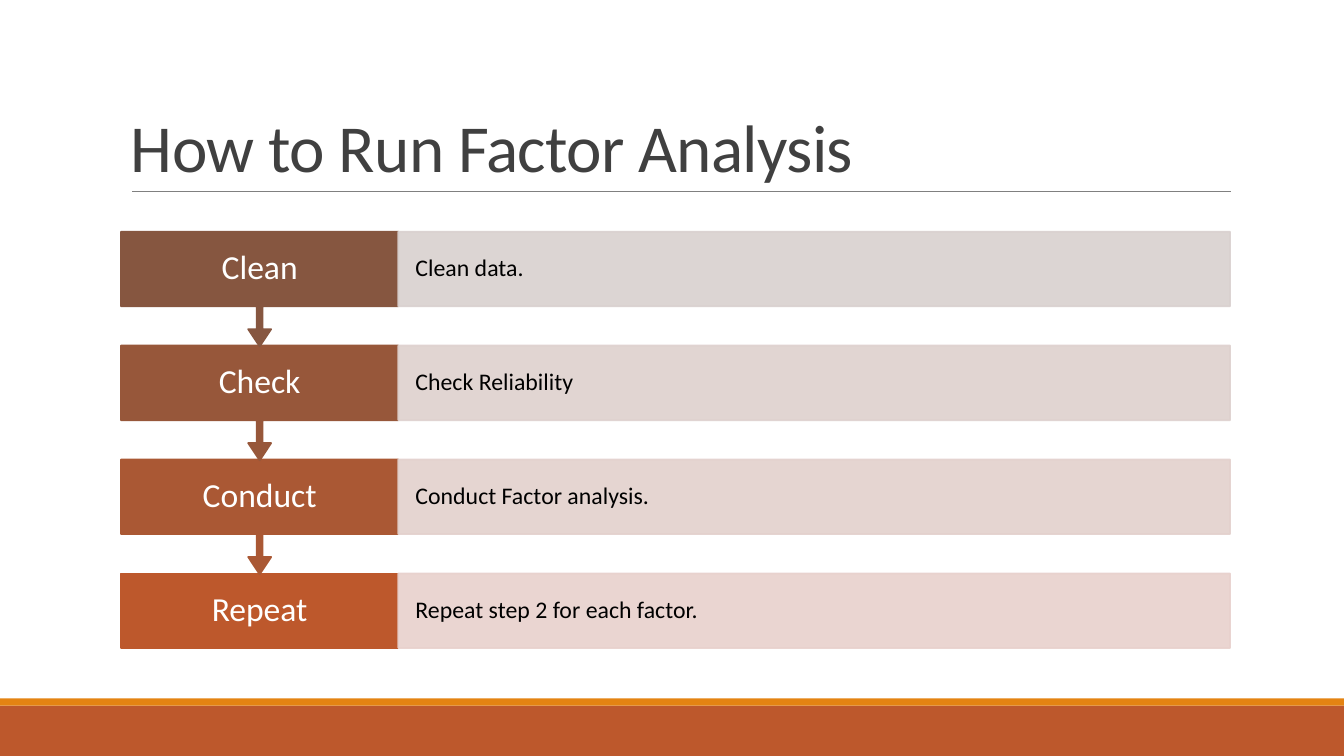
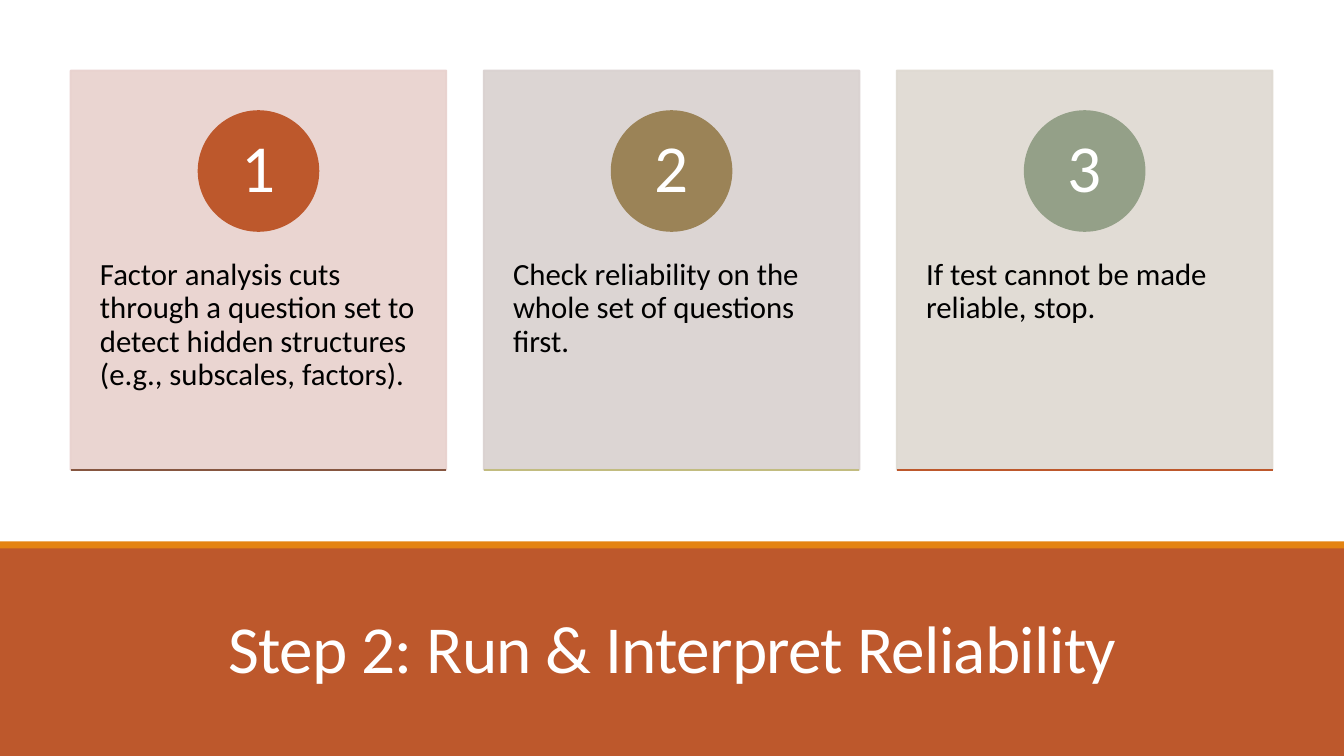
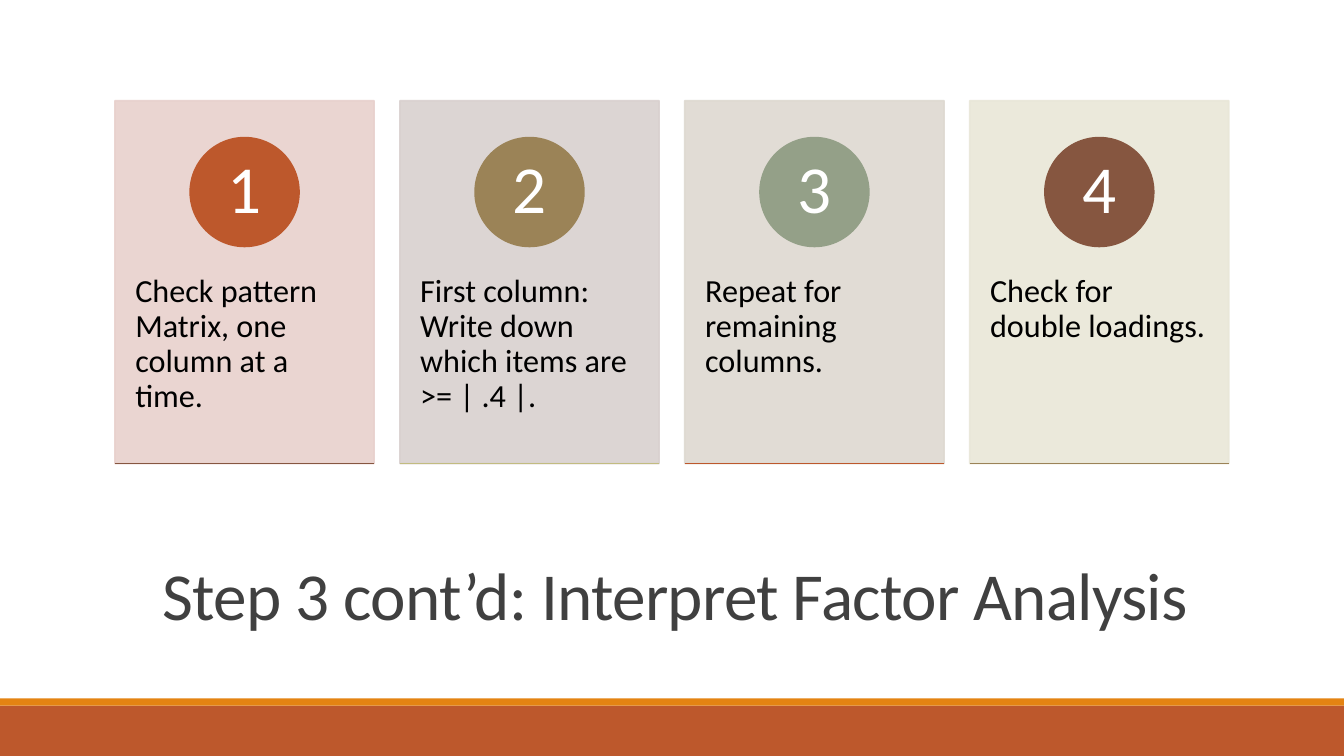
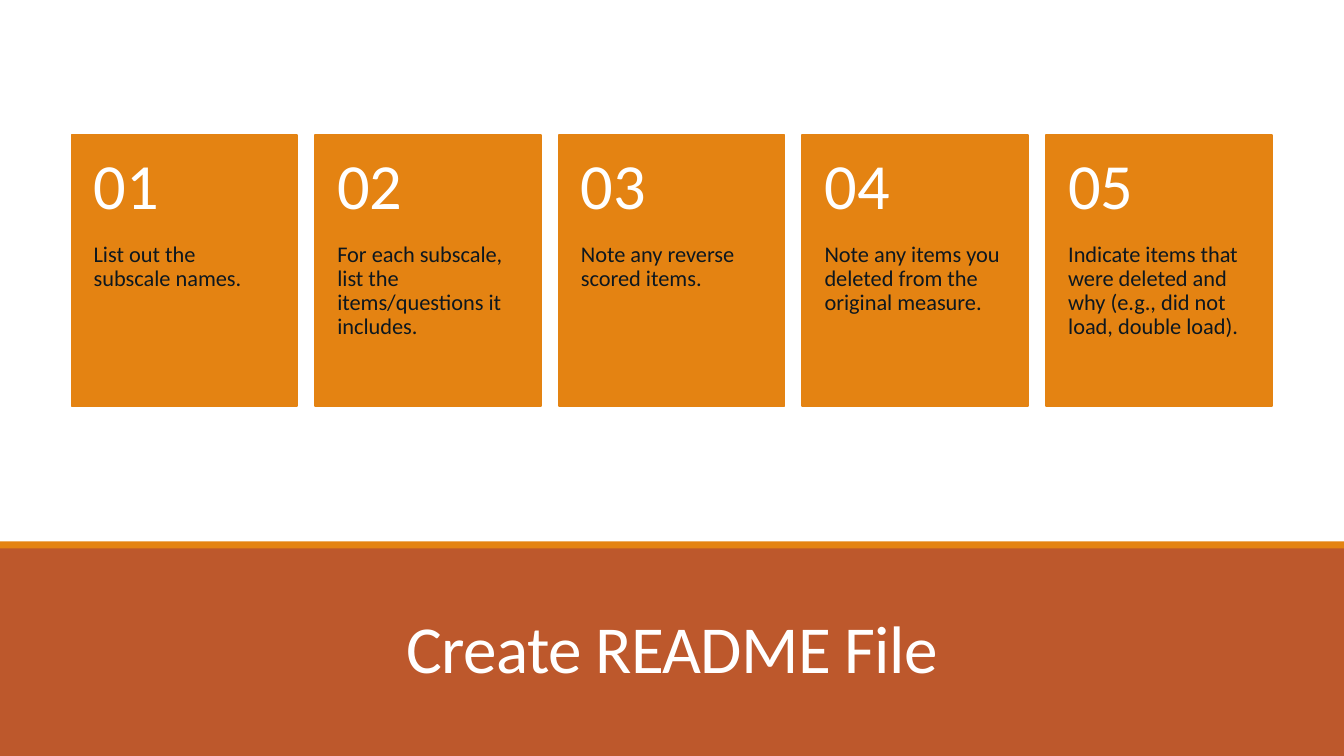
from dataclasses import dataclass

from lxml.etree import SubElement
from pptx import Presentation
from pptx.dml.color import RGBColor
from pptx.enum.shapes import MSO_CONNECTOR, MSO_SHAPE
from pptx.enum.text import MSO_ANCHOR, MSO_AUTO_SIZE, PP_ALIGN
from pptx.oxml.ns import qn
from pptx.util import Cm, Pt

FONT = "Calibri"
WIDTH, HEIGHT = 33.87, 19.05
COLORS = {
    "rust": "BD582C", "amber": "E48312", "brown": "865640",
    "sienna": "97573A", "copper": "AA5834", "khaki": "9B8357",
    "olive": "C2BC80", "sage": "94A088", "pink": "E8D1CD",
    "rose": "E3D1CD", "blush": "DED1CE", "mauve": "D9D1CF",
    "stone": "DED9D1", "cream": "E9E7D8", "white": "FFFFFF",
    "black": "000000", "ink": "0D171F", "title": "404040", "rule": "808080",
}


@dataclass
class Step:
    label: str
    detail: str
    fill: str
    tint: str


@dataclass
class Card:
    text: str
    tint: str
    badge: str
    edge: str


@dataclass
class CardGrid:
    """Sizes of a row of cards, in centimetres; text size in points."""
    left: float
    top: float
    width: float
    height: float
    pitch: float
    inset: float
    text_top: float
    size: int
    badge: float = 0
    badge_top: float = 0


STEPS = [
    Step("Clean", "Clean data.", "brown", "mauve"),
    Step("Check", "Check Reliability", "sienna", "blush"),
    Step("Conduct", "Conduct Factor analysis.", "copper", "rose"),
    Step("Repeat", "Repeat step 2 for each factor.", "rust", "pink"),
]
# Tint, badge and edge by position in the row
CARD_STYLES = [
    ("pink", "rust", "brown"), ("mauve", "khaki", "olive"),
    ("stone", "sage", "rust"), ("cream", "brown", "khaki"),
]
RELIABILITY = [
    "Factor analysis cuts through a question set to detect hidden structures "
    "(e.g., subscales, factors).",
    "Check reliability on the whole set of questions first.",
    "If test cannot be made reliable, stop.",
]
INTERPRETATION = [
    "Check pattern Matrix, one column at a time.",
    "First column: Write down which items are >= | .4 |.",
    "Repeat for remaining columns.",
    "Check for double loadings.",
]
README_ITEMS = [
    "List out the subscale names.",
    "For each subscale, list the items/questions it includes.",
    "Note any reverse scored items.",
    "Note any items you deleted from the original measure.",
    "Indicate items that were deleted and why (e.g., did not load, double load).",
]
THREE_CARDS = CardGrid(1.78, 1.78, 9.47, 10.06, 10.41, 0.74, 4.75, 22, 3.02, 1.02)
FOUR_CARDS = CardGrid(2.9, 2.54, 6.53, 9.14, 7.18, 0.51, 4.39, 23, 2.74, 0.93)
FIVE_CARDS = CardGrid(1.8, 3.4, 5.69, 6.83, 6.14, 0.56, 2.72, 16)


def rgb(name: str) -> RGBColor:
    return RGBColor.from_string(COLORS[name])


def write(sp, text: str, *, size: float, color: str = "black",
          align=PP_ALIGN.LEFT, anchor=MSO_ANCHOR.MIDDLE, spacing: float = 0.9,
          side: float = 0.25, top: float = 0, bottom: float = 0,
          tracking: int = 0) -> None:
    """Put one formatted paragraph in a shape; insets are in centimetres."""
    tf = sp.text_frame
    tf.word_wrap, tf.auto_size, tf.vertical_anchor = True, MSO_AUTO_SIZE.NONE, anchor
    tf.margin_left = tf.margin_right = Cm(side)
    tf.margin_top, tf.margin_bottom = Cm(top), Cm(bottom)
    p = tf.paragraphs[0]
    p.alignment, p.line_spacing = align, spacing
    r = p.add_run()
    r.text = text
    r.font.name, r.font.size = FONT, Pt(size)
    r.font.color.rgb = rgb(color)
    if tracking:
        r._r.get_or_add_rPr().set("spc", str(tracking))


def add_block(s, x: float, y: float, w: float, h: float, fill: str, *,
              kind=MSO_SHAPE.RECTANGLE, outlined: bool = True, opacity: int = 100):
    sp = s.shapes.add_shape(kind, Cm(x), Cm(y), Cm(w), Cm(h))
    sp.shadow.inherit = False
    sp.fill.solid()
    sp.fill.fore_color.rgb = rgb(fill)
    if outlined:
        sp.line.color.rgb = rgb(fill)
        sp.line.width = Pt(1.25)
    else:
        sp.line.fill.background()
    if opacity < 100:
        for clr in sp._element.spPr.iter(qn("a:srgbClr")):
            SubElement(clr, qn("a:alpha")).set("val", str(opacity * 1000))
    return sp


def add_rule(s, x: float, y: float, w: float, color: str, weight: float) -> None:
    line = s.shapes.add_connector(MSO_CONNECTOR.STRAIGHT, Cm(x), Cm(y), Cm(x + w), Cm(y))
    line.line.color.rgb = rgb(color)
    line.line.width = Pt(weight)
    SubElement(line._element.spPr, qn("a:effectLst"))


def add_slide(prs, title: str, *, at: tuple[float, float, float, float],
              band_top: float = 17.78, stripe_top: float = 17.6,
              color: str = "title", align=PP_ALIGN.CENTER,
              anchor=MSO_ANCHOR.BOTTOM):
    """Start a slide with its bottom band, stripe and title."""
    s = prs.slides.add_slide(prs.slide_layouts[5])
    add_block(s, 0, band_top, WIDTH, HEIGHT - band_top, "rust", outlined=False)
    add_block(s, 0, stripe_top, WIDTH, 0.18, "amber", outlined=False)
    sp = s.shapes.title
    sp.left, sp.top, sp.width, sp.height = map(Cm, at)
    # Bring the title in front of the band
    s.shapes._spTree.append(sp._element)
    write(sp, title, size=48, color=color, align=align, anchor=anchor,
          spacing=0.85, top=0.13, bottom=0.13, tracking=-50)
    return s


def add_banner_slide(prs, title: str):
    """Start a slide whose title sits in a tall band."""
    return add_slide(prs, title, at=(2.97, 14.58, 27.94, 2.87), band_top=13.77,
                     stripe_top=13.64, color="white")


def add_steps(s, steps: list[Step]) -> None:
    left, top, label_w, detail_w, height, pitch = 3.05, 5.84, 6.99, 20.96, 1.88, 2.87
    # From the bottom up, so that each arrow tip lies over the next box
    for i, step in reversed(list(enumerate(steps))):
        y = top + i * pitch
        if i == len(steps) - 1:
            box = add_block(s, left, y, label_w, height, step.fill)
        else:
            box = add_block(s, left, y, label_w, pitch + 0.02, step.fill,
                            kind=MSO_SHAPE.DOWN_ARROW_CALLOUT)
            for k, value in enumerate((0.05, 0.1, 0.15, 0.65)):
                box.adjustments[k] = value
        write(box, step.label, size=24, color="white", align=PP_ALIGN.CENTER)
        detail = add_block(s, left + label_w, y, detail_w, height, step.tint, opacity=90)
        write(detail, step.detail, size=17, side=0.43)


def add_badge_cards(s, texts: list[str], g: CardGrid) -> None:
    cards = [Card(text, *style) for text, style in zip(texts, CARD_STYLES)]
    for i, card in enumerate(cards):
        x = g.left + i * g.pitch
        box = add_block(s, x, g.top, g.width, g.height, card.tint, opacity=90)
        write(box, card.text, size=g.size, anchor=MSO_ANCHOR.TOP,
              side=g.inset, top=g.text_top)
        badge = add_block(s, x + (g.width - g.badge) / 2, g.top + g.badge_top,
                          g.badge, g.badge, card.badge, kind=MSO_SHAPE.OVAL)
        write(badge, str(i + 1), size=48, color="white", align=PP_ALIGN.CENTER, side=0)
        add_rule(s, x, g.top + g.height, g.width, card.edge, 1.25)


def add_number_cards(s, texts: list[str], g: CardGrid) -> None:
    for i, text in enumerate(texts):
        x = g.left + i * g.pitch
        box = add_block(s, x, g.top, g.width, g.height, "amber")
        write(box, text, size=g.size, color="ink", anchor=MSO_ANCHOR.TOP,
              side=g.inset, top=g.text_top)
        number = s.shapes.add_textbox(Cm(x), Cm(g.top), Cm(g.width), Cm(g.text_top))
        write(number, f"{i + 1:02}", size=46, color="white", side=g.inset)


def main() -> None:
    prs = Presentation()
    prs.slide_width, prs.slide_height = Cm(WIDTH), Cm(HEIGHT)

    # Process overview
    s = add_slide(prs, "How to Run Factor Analysis", at=(3.05, 0.79, 27.94, 4.04),
                  align=PP_ALIGN.LEFT)
    add_rule(s, 3.33, 4.83, 27.68, "rule", 0.5)
    add_steps(s, STEPS)

    # Reliability
    s = add_banner_slide(prs, "Step 2: Run & Interpret Reliability")
    add_badge_cards(s, RELIABILITY, THREE_CARDS)

    # Interpretation
    s = add_slide(prs, "Step 3 cont’d: Interpret Factor Analysis",
                  at=(3.05, 13.46, 27.94, 3.3), anchor=MSO_ANCHOR.MIDDLE)
    add_badge_cards(s, INTERPRETATION, FOUR_CARDS)

    # README file
    s = add_banner_slide(prs, "Create README File")
    add_number_cards(s, README_ITEMS, FIVE_CARDS)

    prs.save("out.pptx")


if __name__ == "__main__":
    main()
